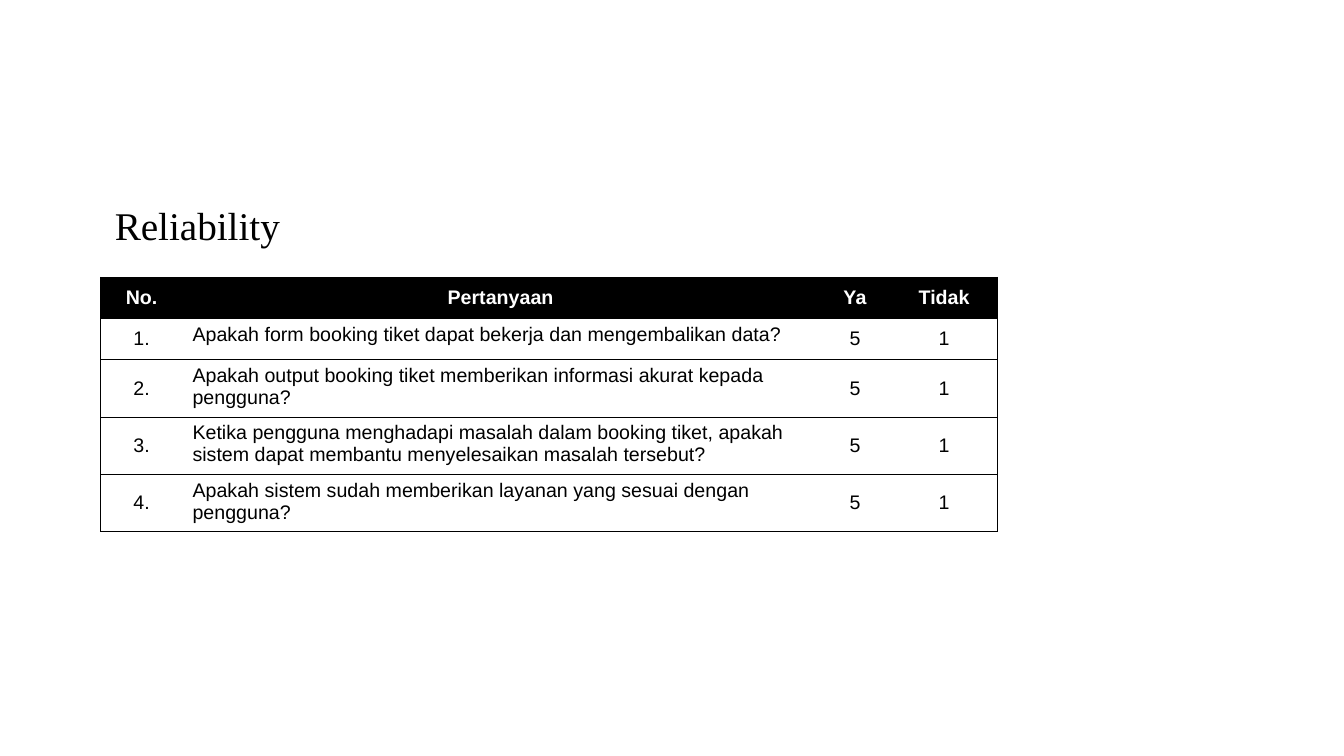
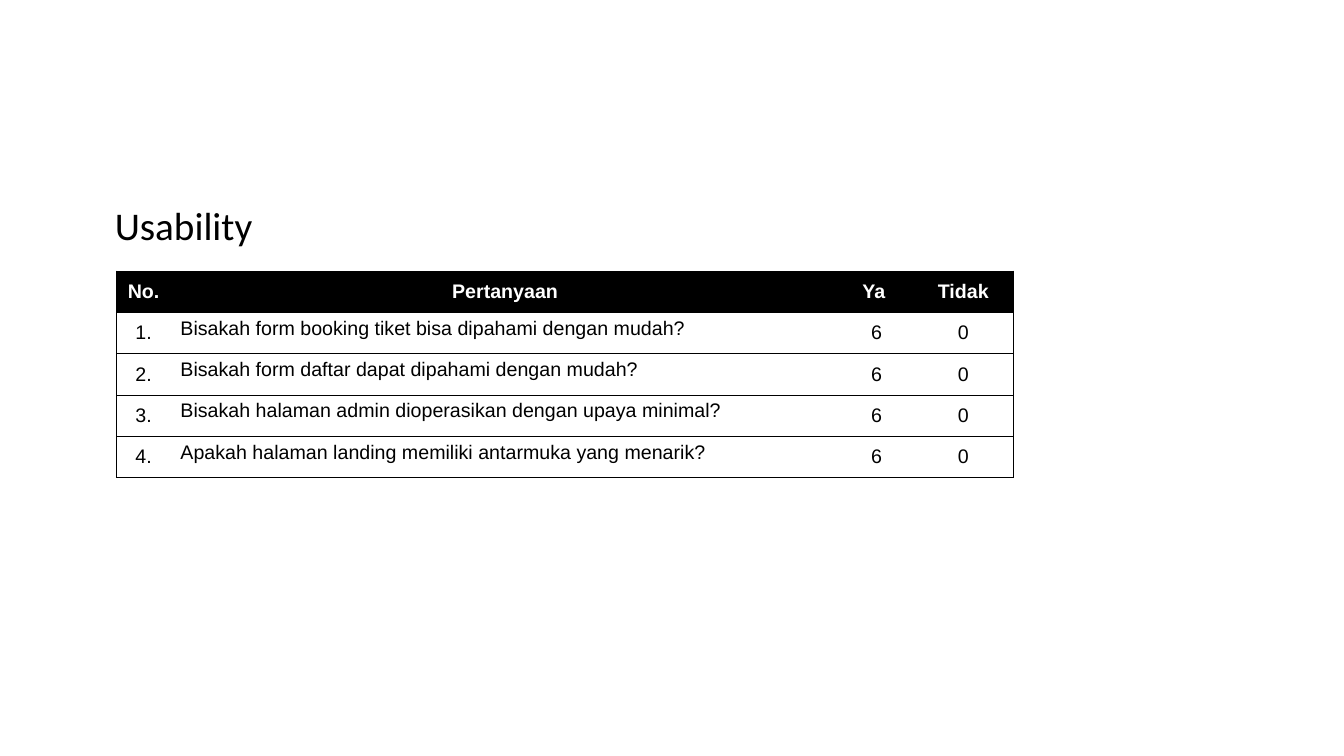
"""Builds two survey slides, each with a heading and a table of questions."""
from dataclasses import dataclass

from lxml import etree
from pptx import Presentation
from pptx import util as u
from pptx.dml.color import RGBColor
from pptx.enum import text
from pptx.oxml.ns import qn

BLACK = RGBColor(0x00, 0x00, 0x00)
WHITE = RGBColor(0xFF, 0xFF, 0xFF)
ROW_HEIGHT = u.Inches(0.41)
BORDER_WIDTH = u.Pt(0.75)


@dataclass(frozen=True)
class Survey:
    title: str
    title_font: str
    left: float
    top: float
    widths: tuple[float, ...]
    headers: tuple[str, ...]
    questions: tuple[str, ...]
    yes: int
    no: int


SURVEYS = (
    Survey(
        "Reliability", "Times New Roman", 1, 2.75, (0.81, 6.31, 0.72, 1.05),
        ("No.", "Pertanyaan", "Ya", "Tidak"),
        (
            "Apakah form booking tiket dapat bekerja dan mengembalikan data?",
            "Apakah output booking tiket memberikan informasi akurat kepada pengguna?",
            "Ketika pengguna menghadapi masalah dalam booking tiket, apakah sistem "
            "dapat membantu menyelesaikan masalah tersebut?",
            "Apakah sistem sudah memberikan layanan yang sesuai dengan pengguna?",
        ),
        5, 1,
    ),
    Survey(
        "Usability", "Calibri", 1.16, 2.69, (0.53, 6.64, 0.73, 0.99),
        ("No.", "Pertanyaan", "Ya ", "Tidak"),
        (
            "Bisakah form booking tiket bisa dipahami dengan mudah?",
            "Bisakah form daftar dapat dipahami dengan mudah?",
            "Bisakah halaman admin dioperasikan dengan upaya minimal?",
            "Apakah halaman landing memiliki antarmuka yang menarik?",
        ),
        6, 0,
    ),
)


def write(tf, content: str, *, font: str = "Arial", size: float = 14,
          color: RGBColor = BLACK, bold: bool = False,
          align=text.PP_ALIGN.LEFT):
    p = tf.paragraphs[0]
    p.alignment = align
    r = p.add_run()
    r.text = content
    r.font.name, r.font.size, r.font.bold = font, u.Pt(size), bold
    r.font.color.rgb = color
    return p


def set_borders(cell, visible: str) -> None:
    tc_pr = cell._tc.get_or_add_tcPr()
    for side in "LRTB":
        ln = etree.SubElement(tc_pr, qn(f"a:ln{side}"), w=str(BORDER_WIDTH))
        if side in visible:
            fill = etree.SubElement(ln, qn("a:solidFill"))
            etree.SubElement(fill, qn("a:srgbClr"), val=str(BLACK))
        else:
            etree.SubElement(ln, qn("a:noFill"))


def add_title(s, survey: Survey) -> None:
    sp = s.shapes.add_textbox(u.Inches(0.92), u.Inches(2), u.Inches(11.5), u.Inches(4.76))
    tf = sp.text_frame
    tf.word_wrap = True
    p = write(tf, survey.title, font=survey.title_font, size=28)
    p.line_spacing, p.space_before = 0.9, u.Pt(10)
    p._p.get_or_add_pPr().set("marL", str(u.Inches(0.12)))


def add_questions(s, survey: Survey) -> None:
    rows = [survey.headers]
    rows += [(f"{i}.", question, str(survey.yes), str(survey.no))
             for i, question in enumerate(survey.questions, 1)]
    table = s.shapes.add_table(
        len(rows), len(survey.widths), u.Inches(survey.left), u.Inches(survey.top),
        u.Inches(sum(survey.widths)), ROW_HEIGHT * len(rows)).table
    table.first_row = table.horz_banding = False
    for column, width in zip(table.columns, survey.widths):
        column.width = u.Inches(width)
    last = len(survey.widths) - 1
    for i, values in enumerate(rows):
        table.rows[i].height = ROW_HEIGHT
        header = i == 0
        for j, value in enumerate(values):
            cell = table.cell(i, j)
            set_borders(cell, "TB" + {0: "L", last: "R"}.get(j, ""))
            cell.fill.solid()
            cell.fill.fore_color.rgb = BLACK if header else WHITE
            centred = header or j != 1
            cell.vertical_anchor = text.MSO_ANCHOR.MIDDLE if centred else text.MSO_ANCHOR.TOP
            write(cell.text_frame, value, bold=header, color=WHITE if header else BLACK,
                  align=text.PP_ALIGN.CENTER if centred else text.PP_ALIGN.LEFT)


def main() -> None:
    prs = Presentation()
    prs.slide_width, prs.slide_height = u.Inches(13.33), u.Inches(7.5)
    for survey in SURVEYS:
        s = prs.slides.add_slide(prs.slide_layouts[6])
        add_title(s, survey)
        add_questions(s, survey)
    prs.save("out.pptx")


if __name__ == "__main__":
    main()
